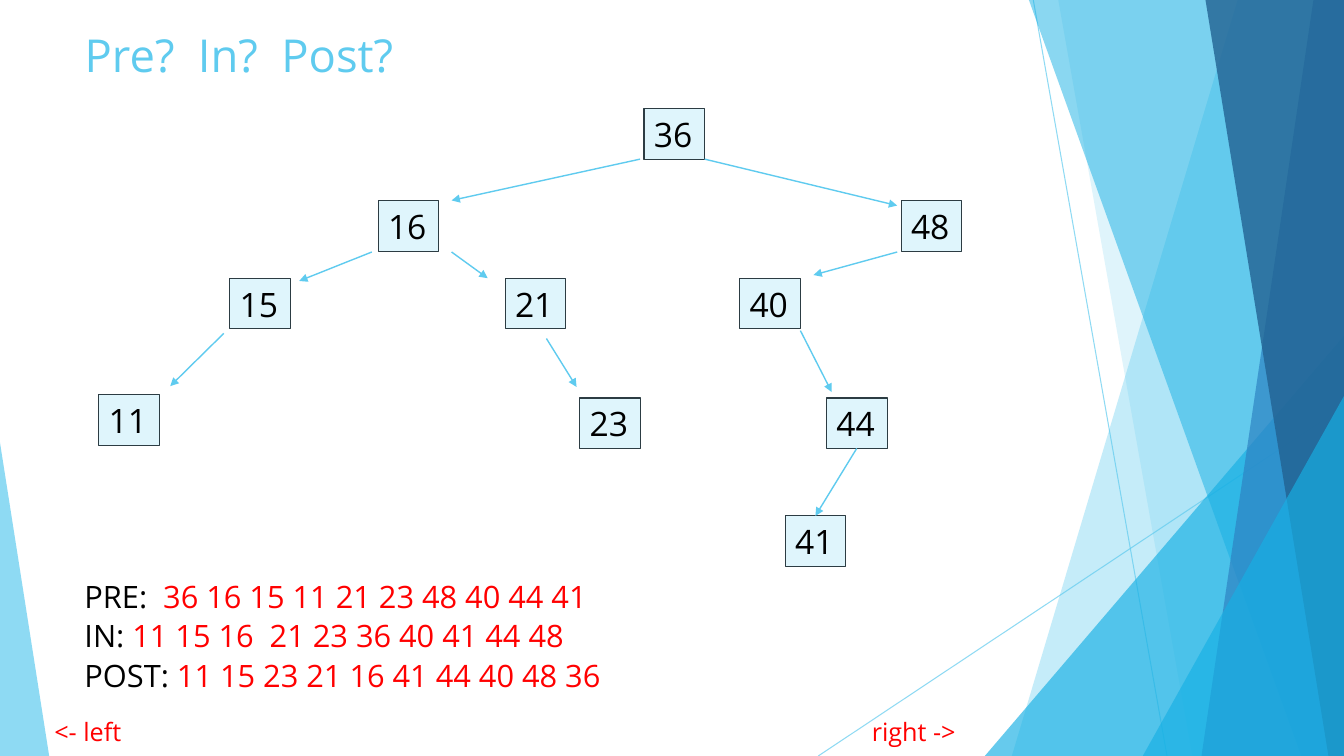
from lxml.etree import SubElement
from pptx import Presentation
from pptx.dml.color import RGBColor
from pptx.enum.shapes import MSO_CONNECTOR, MSO_SHAPE
from pptx.enum.text import MSO_ANCHOR, PP_ALIGN
from pptx.oxml.ns import qn
from pptx.util import Cm, Pt

FONT = "Open Sans"
SKY, AZURE, BLUE, NAVY = "5FCBEF", "17B0E4", "2E83C3", "226292"
BLACK, RED, NODE_FILL, NODE_LINE = "000000", "FF0000", "DFF5FC", "2C3C43"
SLIDE_BOX = (0, 0, 33.87, 19.05)
TITLE_BOX = (1.88, 0.43, 23.88, 1.75)
TREE_BOX = (2.49, 2.74, 21.75, 11.54)
ORDERS_BOX = (1.88, 14.55, 23.88, 3.99)
DIRECTIONS_BOX = (1.12, 17.91, 29.82, 1.02)

NODE_SIZE = (1.53, 1.28)
NODES = {
    "36": (13.74, 0), "48": (20.22, 2.31), "16": (7.04, 2.31),
    "21": (10.24, 4.27), "15": (3.3, 4.27), "41": (17.3, 10.26),
    "44": (18.34, 7.29), "40": (16.15, 4.27), "23": (12.12, 7.29), "11": (0, 7.21),
}
BRANCHES = [
    (13.64, 1.27, 8.89, 2.31), (15.27, 1.27, 20.12, 2.44),
    (6.88, 3.61, 5.05, 4.34), (8.89, 3.61, 9.8, 4.27),
    (3.15, 5.66, 1.8, 6.99), (11.28, 5.79, 12.04, 7.01),
    (20.12, 3.61, 18.01, 4.19), (17.68, 5.59, 18.47, 7.14),
    (19.1, 8.56, 18.06, 10.26),
]
ORDERS = [
    [("PRE:  ", BLACK), ("36 16 15 11 21 23 48 40 44 41", RED)],
    [("IN: ", BLACK), ("11 15 16  21 23 36 40 41 44 48", RED)],
    [("POST: ", BLACK), ("11 15 23 21 16 41 44 40 48 36", RED)],
]


def color(hex_text):
    """Return the colour for a hex string."""
    return RGBColor.from_string(hex_text)


def lengths(values):
    """Return centimetre values as lengths."""
    return [Cm(value) for value in values]


def write(shape, paragraphs, size, anchor=MSO_ANCHOR.TOP, before=0, after=0, spacing=1):
    """Fill a shape with paragraphs made of (text, colour) runs."""
    frame = shape.text_frame
    frame.word_wrap = True
    frame.vertical_anchor = anchor
    for index, runs in enumerate(paragraphs):
        paragraph = frame.add_paragraph() if index else frame.paragraphs[0]
        paragraph.alignment = PP_ALIGN.LEFT
        paragraph.space_before, paragraph.space_after = Pt(before), Pt(after)
        paragraph.line_spacing = spacing
        for text, hex_text in runs:
            run = paragraph.add_run()
            run.text = text
            run.font.name, run.font.size = FONT, Pt(size)
            run.font.color.rgb = color(hex_text)


def set_opacity(shape, percent):
    """Make the colours of a shape partly transparent."""
    for element in shape._element.spPr.iter(qn("a:srgbClr")):
        SubElement(element, qn("a:alpha")).set("val", str(percent * 1000))


def tint(shape, hex_text, opacity):
    """Give a decorative shape a transparent fill and no outline."""
    shape.shadow.inherit = False
    shape.fill.solid()
    shape.fill.fore_color.rgb = color(hex_text)
    shape.line.fill.background()
    set_opacity(shape, opacity)


def add_line(slide, origin, ends, width, arrow=False):
    """Draw a straight line, with ends measured from the origin."""
    left, top = origin
    x1, y1, x2, y2 = ends
    line = slide.shapes.add_connector(
        MSO_CONNECTOR.STRAIGHT, *lengths((left + x1, top + y1, left + x2, top + y2)))
    line.line.color.rgb = color(SKY)
    line.line.width = Pt(width)
    if arrow:
        SubElement(line.line._get_or_add_ln(), qn("a:tailEnd")).set("type", "triangle")
    SubElement(line._element.spPr, qn("a:effectLst"))
    return line


def add_panel(slide, box, top_x, bottom_x, hex_text, opacity):
    """Draw a slanted panel that reaches the right edge of the box."""
    left, top, width, height = box
    right, bottom = left + width, top + height
    builder = slide.shapes.build_freeform(*lengths((left + top_x, top)))
    corners = [(right, top), (right, bottom), (left + bottom_x, bottom)]
    builder.add_line_segments([lengths(corner) for corner in corners], close=True)
    tint(builder.convert_to_shape(), hex_text, opacity)


def add_wedge(slide, box, width, height, hex_text, opacity, at_right=True):
    """Draw a right triangle in a bottom corner of the box."""
    left, top, box_width, box_height = box
    x = left + box_width - width if at_right else left
    wedge = slide.shapes.add_shape(
        MSO_SHAPE.ISOSCELES_TRIANGLE, *lengths((x, top + box_height - height, width, height)))
    wedge.adjustments[0] = 1 if at_right else 0
    tint(wedge, hex_text, opacity)


def add_facets(slide, box):
    """Draw the faceted decoration at both sides of the box."""
    for ends in [(26.04, 0, 29.41, 19.05), (33.87, 10.24, 20.62, 19.05)]:
        set_opacity(add_line(slide, box[:2], ends, 0.75), 70)
    add_panel(slide, box, 31.19, 25.5, SKY, 36)
    add_panel(slide, box, 26.67, 30.05, SKY, 20)
    add_wedge(slide, box, 9.05, 10.59, AZURE, 66)
    add_panel(slide, box, 25.93, 32.79, AZURE, 50)
    add_panel(slide, box, 33.1, 30.28, BLUE, 70)
    add_panel(slide, box, 30.38, 33.48, NAVY, 80)
    add_wedge(slide, box, 5.07, 9.07, AZURE, 66)
    add_wedge(slide, box, 1.24, 7.9, SKY, 70, at_right=False)


def add_title(slide, box):
    """Place and format the title placeholder."""
    title = slide.shapes.title
    title.left, title.top, title.width, title.height = lengths(box)
    write(title, [[("Pre?  In?  Post?", SKY)]], size=32.4, anchor=MSO_ANCHOR.BOTTOM)


def add_tree(slide, box):
    """Draw the binary search tree."""
    left, top = box[:2]
    for value, (x, y) in NODES.items():
        node = slide.shapes.add_shape(
            MSO_SHAPE.RECTANGLE, *lengths((left + x, top + y, *NODE_SIZE)))
        node.shadow.inherit = False
        node.fill.solid()
        node.fill.fore_color.rgb = color(NODE_FILL)
        node.line.color.rgb = color(NODE_LINE)
        node.line.width = Pt(0.75)
        write(node, [[(value, BLACK)]], size=24, anchor=MSO_ANCHOR.MIDDLE)
    for ends in BRANCHES:
        add_line(slide, (left, top), ends, 1, arrow=True)


def add_orders(slide, box):
    """List the three traversal orders."""
    orders = slide.shapes.add_textbox(*lengths(box))
    write(orders, ORDERS, size=22, before=1, after=4, spacing=0.88)


def add_directions(slide, box):
    """Label the left and right directions, split by a tab stop."""
    directions = slide.shapes.add_textbox(*lengths(box))
    write(directions, [[("<- left\tright ->", RED)]], size=18, anchor=MSO_ANCHOR.MIDDLE)
    properties = directions.text_frame.paragraphs[0]._p.get_or_add_pPr()
    stop = SubElement(SubElement(properties, qn("a:tabLst")), qn("a:tab"))
    stop.set("pos", str(Cm(20.6)))
    stop.set("algn", "l")


def build_tree_slide(presentation):
    """Add the tree traversal slide."""
    slide = presentation.slides.add_slide(presentation.slide_layouts[5])
    add_facets(slide, SLIDE_BOX)
    add_title(slide, TITLE_BOX)
    add_orders(slide, ORDERS_BOX)
    add_tree(slide, TREE_BOX)
    add_directions(slide, DIRECTIONS_BOX)


presentation = Presentation()
presentation.slide_width, presentation.slide_height = lengths(SLIDE_BOX[2:])
build_tree_slide(presentation)
presentation.save("out.pptx")
